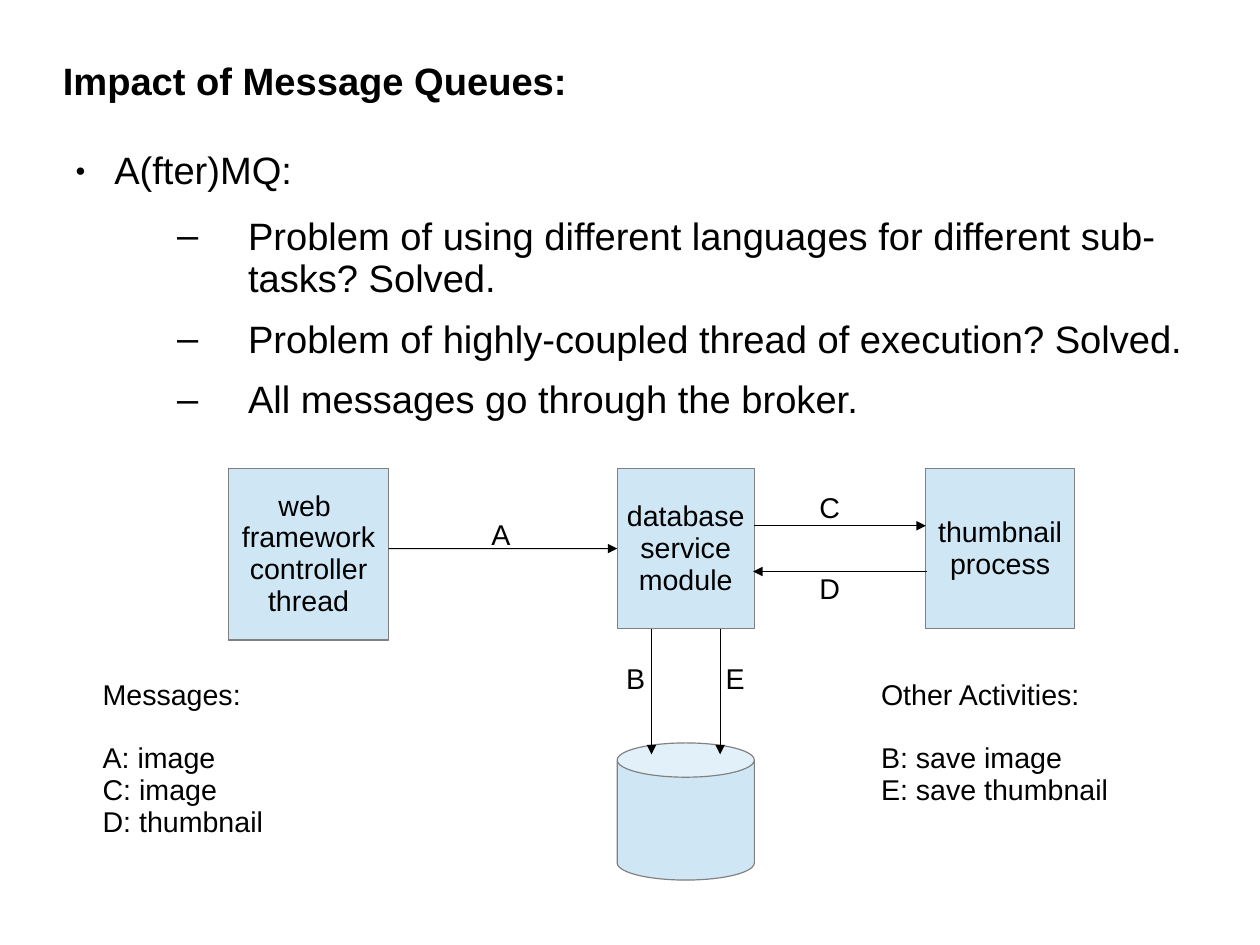
from dataclasses import dataclass
from typing import Optional

from lxml.etree import SubElement
from pptx import Presentation
from pptx.dml.color import RGBColor
from pptx.enum.shapes import MSO_CONNECTOR, MSO_SHAPE
from pptx.enum.text import MSO_ANCHOR, PP_ALIGN
from pptx.oxml.ns import qn
from pptx.util import Inches, Pt

COLORS = {"text": "000000", "fill": "CFE7F5", "outline": "808080", "arrow": "000000"}
FONT = "Arial"
LINE_SPACING = 0.93
CENTIMETERS_PER_INCH = 2.54


@dataclass
class Node:
    name: str
    left: float
    top: float
    width: float
    height: float
    lines: tuple[str, ...] = ()
    preset: MSO_SHAPE = MSO_SHAPE.RECTANGLE


@dataclass
class Arrow:
    start: tuple[float, float]
    end: tuple[float, float]
    target: Optional[str] = None
    side: int = 0


@dataclass
class Note:
    left: float
    top: float
    width: float
    height: float
    lines: tuple[str, ...]


@dataclass
class Bullet:
    level: int
    text: str


@dataclass
class BulletStyle:
    character: str
    size: int
    margin: float
    indent: float
    space_after: float


NODES = [
    Node("web", 2, 4.1, 1.4, 1.5, ("web ", "framework", "controller", "thread")),
    Node("database", 5.4, 4.1, 1.2, 1.4, ("database", "service", "module")),
    Node("thumbnail", 8.1, 4.1, 1.3, 1.4, ("thumbnail", "process")),
    Node("storage", 5.4, 6.5, 1.2, 1.2, preset=MSO_SHAPE.CAN),
]
ARROWS = [
    Arrow((3.4, 4.8), (5.4, 4.8), "database", 1),
    Arrow((5.7, 5.5), (5.7, 6.6)),
    Arrow((6.6, 4.6), (8.1, 4.6)),
    Arrow((8.11, 5), (6.59, 5)),
    Arrow((6.3, 5.5), (6.3, 6.6)),
]
LABELS = [
    Note(4.2, 4.5, 0.36, 0.38, ("A",)),
    Note(5.38, 5.76, 0.36, 0.38, ("B",)),
    Note(7.07, 4.26, 0.38, 0.38, ("C",)),
    Note(7.07, 4.97, 0.38, 0.38, ("D",)),
    Note(6.25, 5.76, 0.36, 0.38, ("E",)),
]
LEGENDS = [
    Note(0.8, 5.9, 1.6, 1.49, ("Messages:", "A: image", "C: image", "D: thumbnail")),
    Note(7.61, 5.9, 2.2, 1.21, ("Other Activities:", "B: save image", "E: save thumbnail")),
]
BULLETS = [
    Bullet(0, "A(fter)MQ:"),
    Bullet(1, "Problem of using different languages for different sub-tasks? Solved."),
    Bullet(1, "Problem of highly-coupled thread of execution? Solved."),
    Bullet(1, "All messages go through the broker."),
]
BULLET_STYLES = [
    BulletStyle("●", 45, 0.45, -0.34, 14.3),
    BulletStyle("–", 100, 1.62, -0.62, 11.4),
]


def color(name: str) -> RGBColor:
    return RGBColor.from_string(COLORS[name])


def style_paragraph(paragraph, size: float, bold: bool = False) -> None:
    paragraph.line_spacing = LINE_SPACING
    paragraph.font.name = FONT
    paragraph.font.size = Pt(size)
    paragraph.font.bold = bold
    paragraph.font.color.rgb = color("text")


def write_lines(frame, lines: tuple[str, ...], size: float = 18, bold: bool = False,
                alignment: PP_ALIGN = PP_ALIGN.LEFT) -> None:
    frame.text = "\n".join(lines)
    for paragraph in frame.paragraphs:
        paragraph.alignment = alignment
        style_paragraph(paragraph, size, bold)


def add_frame(slide, left: float, top: float, width: float, height: float):
    shape = slide.shapes.add_textbox(Inches(left), Inches(top), Inches(width), Inches(height))
    return shape.text_frame


def add_wide_frame(slide, top: float, height: float):
    frame = add_frame(slide, 0.55, top, 9.92, height)
    frame.word_wrap = True
    frame.margin_left = frame.margin_right = frame.margin_bottom = 0
    frame.margin_top = Inches(0.02)
    return frame


def add_bullets(frame, bullets: list[Bullet]) -> None:
    frame.text = "\n".join(bullet.text for bullet in bullets)
    for paragraph, bullet in zip(frame.paragraphs, bullets):
        style = BULLET_STYLES[bullet.level]
        paragraph.level = bullet.level
        properties = paragraph._p.get_or_add_pPr()
        properties.set("marL", str(Inches(style.margin)))
        properties.set("indent", str(Inches(style.indent)))
        SubElement(properties, qn("a:buSzPct"), val=str(style.size * 1000))
        SubElement(properties, qn("a:buFont"), typeface=FONT)
        SubElement(properties, qn("a:buChar"), char=style.character)
        paragraph.space_after = Pt(style.space_after)
        style_paragraph(paragraph, 24)


def add_node(slide, node: Node):
    shape = slide.shapes.add_shape(node.preset, Inches(node.left), Inches(node.top),
                                   Inches(node.width), Inches(node.height))
    shape.shadow.inherit = False
    shape.fill.solid()
    shape.fill.fore_color.rgb = color("fill")
    shape.line.color.rgb = color("outline")
    shape.line.width = Pt(0.75)
    if node.lines:
        shape.text_frame.word_wrap = False
        shape.text_frame.vertical_anchor = MSO_ANCHOR.MIDDLE
        write_lines(shape.text_frame, node.lines, alignment=PP_ALIGN.CENTER)
    return shape


def add_arrow(slide, arrow: Arrow, shapes: dict) -> None:
    points = [Inches(value) for value in (*arrow.start, *arrow.end)]
    connector = slide.shapes.add_connector(MSO_CONNECTOR.STRAIGHT, *points)
    connector.line.color.rgb = color("arrow")
    connector.line.width = Pt(0.75)
    SubElement(connector.line._get_or_add_ln(), qn("a:tailEnd"), type="triangle")
    SubElement(connector._element.spPr, qn("a:effectLst"))
    if arrow.target:
        connector.end_connect(shapes[arrow.target], arrow.side)


def add_note(slide, note: Note):
    frame = add_frame(slide, note.left, note.top, note.width, note.height)
    frame.word_wrap = False
    write_lines(frame, note.lines)
    return frame


def main() -> None:
    presentation = Presentation()
    presentation.slide_width = Inches(28 / CENTIMETERS_PER_INCH)
    presentation.slide_height = Inches(21 / CENTIMETERS_PER_INCH)
    slide = presentation.slides.add_slide(presentation.slide_layouts[6])

    title = add_wide_frame(slide, 0.33, 0.77)
    title.vertical_anchor = MSO_ANCHOR.MIDDLE
    write_lines(title, ("Impact of Message Queues:",), 24, bold=True)
    add_bullets(add_wide_frame(slide, 1.3, 6.1), BULLETS)

    shapes = {node.name: add_node(slide, node) for node in NODES}
    for arrow in ARROWS:
        add_arrow(slide, arrow, shapes)
    for label in LABELS:
        add_note(slide, label)
    for legend in LEGENDS:
        add_note(slide, legend).paragraphs[0].space_after = Pt(19.5)
    presentation.save("out.pptx")


if __name__ == "__main__":
    main()
